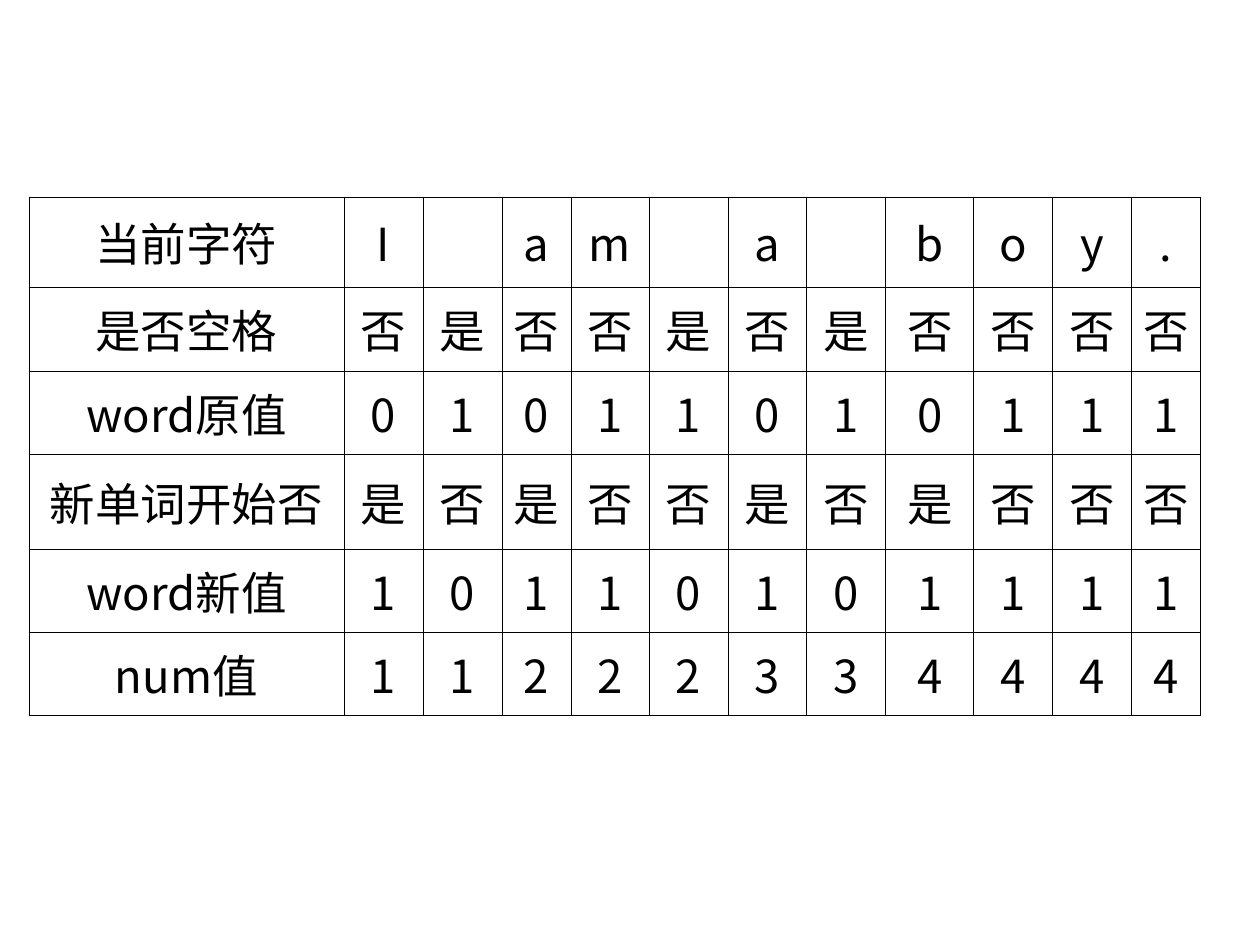
from pptx import Presentation
from pptx.dml.color import RGBColor
from pptx.enum.text import MSO_ANCHOR, PP_ALIGN
from pptx.oxml.ns import qn
from pptx.util import Pt
from lxml.etree import SubElement

EMU_PER_PX = 914400 / 126
CJK_FONT = "Noto Sans CJK SC"
LATIN_FONT = "Times New Roman"
BLACK = "000000"

COLUMN_WIDTHS = [315, 79, 79, 69, 78, 79, 79, 79, 88, 79, 79, 69]
ROW_HEIGHTS = [90, 84, 83, 95, 83, 83]
TRACE = [
    ("当前字符", "I am a boy."),
    ("是否空格", "否是否否是否是否否否否"),
    ("word原值", "01011010111"),
    ("新单词开始否", "是否是否否是否是否否否"),
    ("word新值", "10110101111"),
    ("num值", "11222334444"),
]
WORD_START_ROW = 3
LATIN_FONT_COLUMNS = {4, 5, 9, 10, 11}


def px(length):
    return round(length * EMU_PER_PX)


def color(value):
    return RGBColor.from_string(value)


def add_borders(cell):
    properties = cell._tc.get_or_add_tcPr()
    for side in ("lnL", "lnR", "lnT", "lnB"):
        border = SubElement(properties, qn(f"a:{side}"), w=str(Pt(0.45)))
        fill = SubElement(border, qn("a:solidFill"))
        SubElement(fill, qn("a:srgbClr"), val=BLACK)


def fill_cell(cell, value, font_name):
    add_borders(cell)
    cell.fill.background()
    cell.vertical_anchor = MSO_ANCHOR.MIDDLE
    cell.margin_left = cell.margin_right = px(10)
    cell.margin_top = cell.margin_bottom = px(6)
    cell.text_frame.text = value.strip()
    paragraph = cell.text_frame.paragraphs[0]
    paragraph.alignment = PP_ALIGN.CENTER
    for run in paragraph.runs:
        run.font.size = Pt(26)
        run.font.color.rgb = color(BLACK)
        run.font.name = font_name
        SubElement(run.font._element, qn("a:ea"), typeface=CJK_FONT)


def add_trace_table(slide, left, top):
    frame = slide.shapes.add_table(
        len(ROW_HEIGHTS), len(COLUMN_WIDTHS), px(left), px(top),
        px(sum(COLUMN_WIDTHS)), px(sum(ROW_HEIGHTS)))
    table = frame.table
    table.first_row = table.horz_banding = False
    for column, width in zip(table.columns, COLUMN_WIDTHS):
        column.width = px(width)
    for row, height in zip(table.rows, ROW_HEIGHTS):
        row.height = px(height)
    for row_index, (label, values) in enumerate(TRACE):
        for column_index, value in enumerate([label, *values]):
            uses_latin = (row_index == WORD_START_ROW
                          and column_index in LATIN_FONT_COLUMNS)
            fill_cell(table.cell(row_index, column_index), value,
                      LATIN_FONT if uses_latin else CJK_FONT)


def main():
    presentation = Presentation()
    presentation.slide_width = px(1260)
    presentation.slide_height = px(945)
    slide = presentation.slides.add_slide(presentation.slide_layouts[6])
    add_trace_table(slide, 29, 197)
    presentation.save("out.pptx")


if __name__ == "__main__":
    main()
